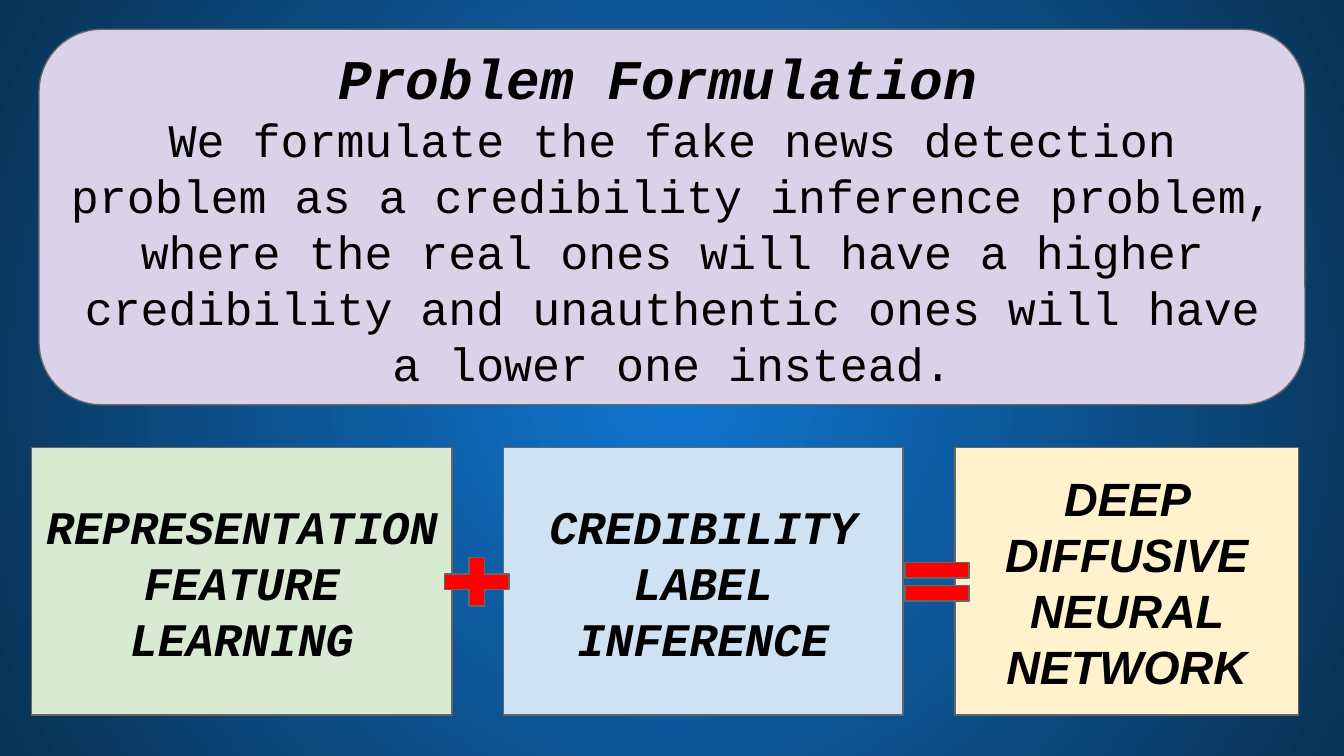
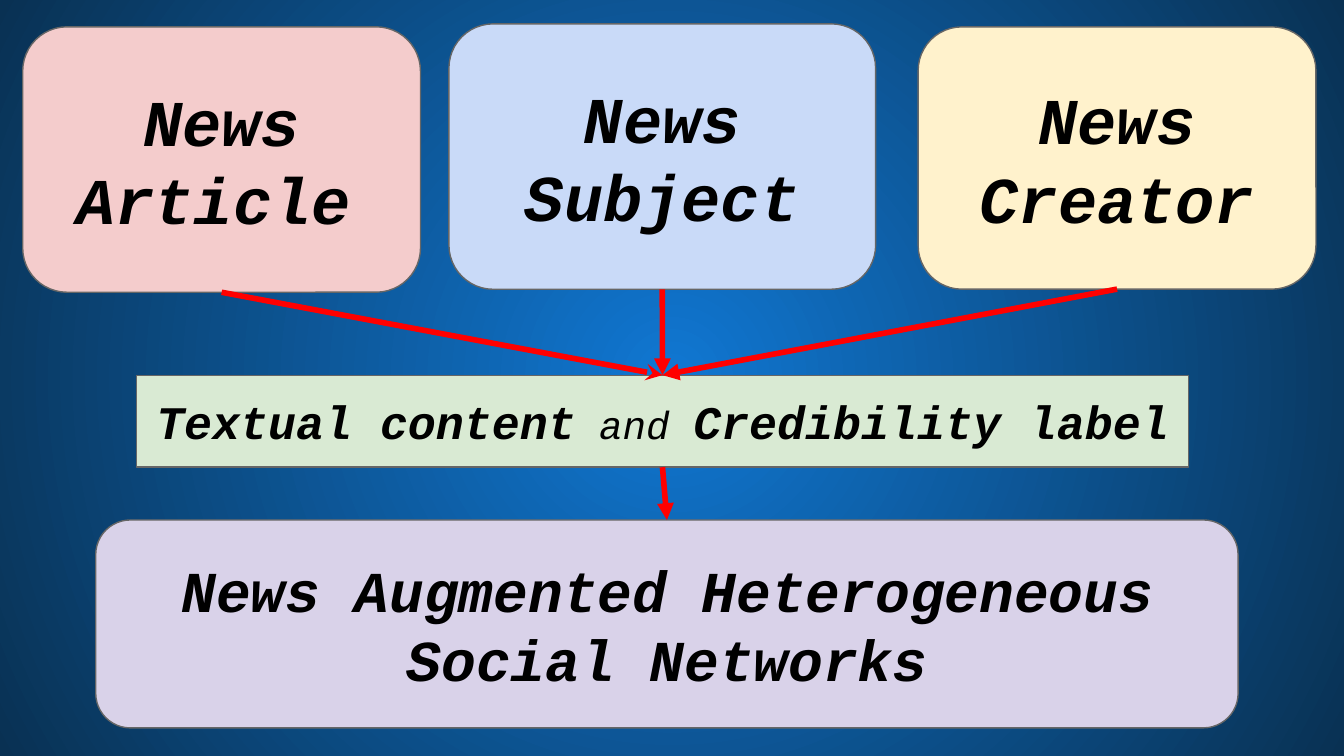
from lxml import etree
from pptx import Presentation
from pptx.dml.color import RGBColor
from pptx.enum.shapes import MSO_CONNECTOR, MSO_SHAPE as SHAPE
from pptx.enum.text import MSO_ANCHOR, PP_ALIGN
from pptx.oxml.ns import qn
from pptx.util import Pt

# Shared style
MONO, SANS = "Courier New", "Arial"
GLOW, NAVY = "1077D2", "093153"
LILAC, GREEN, SKY, CREAM = "D9D2E9", "D9EAD3", "CFE2F3", "FFF2CC"
PINK, PERIWINKLE = "F4CCCC", "C9DAF8"
RED, GREY, BLACK = "FF0000", "666666", "000000"
TOP, BOTTOM = 0, 2


def rgb(value):
    return RGBColor.from_string(value)


def add_slide(prs):
    """Blank slide with the radial blue background."""
    s = prs.slides.add_slide(prs.slide_layouts[6])
    fill = s.background.fill
    fill.gradient()
    for stop, color in zip(fill.gradient_stops, (GLOW, NAVY)):
        stop.color.rgb = rgb(color)
    grad = s.element.find(".//" + qn("a:gradFill"))
    grad.remove(grad.find(qn("a:lin")))
    circle = etree.SubElement(grad, qn("a:path"), path="circle")
    etree.SubElement(circle, qn("a:fillToRect"),
                     l="50000", t="50000", r="50000", b="50000")
    return s


def add_figure(s, kind, box, color):
    sp = s.shapes.add_shape(kind, *map(Pt, box))
    sp.shadow.inherit = False
    sp.fill.solid()
    sp.fill.fore_color.rgb = rgb(color)
    sp.line.color.rgb = rgb(GREY)
    sp.line.width = Pt(0.75)
    return sp


def strong(text, size, font=MONO):
    return text, size, True, True, font


def plain(text, size, italic=False):
    return text, size, False, italic, MONO


def add_card(s, kind, box, color, *paragraphs):
    """Filled shape with centred text; each paragraph is a list of runs."""
    sp = add_figure(s, kind, box, color)
    tf = sp.text_frame
    tf.word_wrap = True
    tf.vertical_anchor = MSO_ANCHOR.MIDDLE
    tf.margin_left = tf.margin_right = Pt(7.2)
    tf.margin_top = tf.margin_bottom = Pt(7.2)
    for i, runs in enumerate(paragraphs):
        p = tf.add_paragraph() if i else tf.paragraphs[0]
        p.alignment = PP_ALIGN.CENTER
        for text, size, bold, italic, font in runs:
            r = p.add_run()
            r.text = text
            r.font.size = Pt(size)
            r.font.bold, r.font.italic = bold, italic
            r.font.name = font
            r.font.color.rgb = rgb(BLACK)
    return sp


def add_arrow(s, source, target, head="triangle"):
    """Red arrow from the bottom of one card to the top of another."""
    line = s.shapes.add_connector(MSO_CONNECTOR.STRAIGHT, 0, 0, 0, 0)
    line.begin_connect(source, BOTTOM)
    line.end_connect(target, TOP)
    line.line.color.rgb = rgb(RED)
    line.line.width = Pt(3)
    etree.SubElement(line.line._get_or_add_ln(), qn("a:tailEnd"), type=head)
    etree.SubElement(line._element.spPr, qn("a:effectLst"))


def problem_slide(prs):
    s = add_slide(prs)
    # Problem statement
    add_card(s, SHAPE.ROUNDED_RECTANGLE, (20.9, 15.7, 678.2, 201.2), LILAC,
             [strong("Problem Formulation", 30), plain(" ", 25)],
             [plain("We formulate the fake news detection problem as a "
                    "credibility inference problem, where the real ones will "
                    "have a higher credibility and unauthentic ones will have "
                    "a lower one instead.", 25)])
    # Equation: two parts give the network
    for left, width, color, text, font in (
            (16.9, 225.3, GREEN, "REPRESENTATION FEATURE LEARNING", MONO),
            (269.6, 214.2, SKY, "CREDIBILITY LABEL INFERENCE", MONO),
            (511.5, 184.1, CREAM, "DEEP DIFFUSIVE NEURAL NETWORK", SANS)):
        add_card(s, SHAPE.RECTANGLE, (left, 239.8, width, 143.3), color,
                 [strong(text, 25, font)])
    for left, sign in ((232, SHAPE.MATH_PLUS), (478.6, SHAPE.MATH_EQUAL)):
        add_figure(s, sign, (left, 294, 46.8, 35.3), RED)


def network_slide(prs):
    s = add_slide(prs)
    # News entities
    article, subject, creator = [
        add_card(s, SHAPE.ROUNDED_RECTANGLE, box, color, runs)
        for box, color, runs in (
            ((12.2, 14.4, 213.1, 142.2), PINK,
             [strong("News Article", 35), plain(" ", 14)]),
            ((240.5, 12.8, 228.6, 142.2), PERIWINKLE,
             [strong("News Subject", 35)]),
            ((491.9, 14.4, 213.1, 140.5), CREAM,
             [strong("News Creator", 35)]))]
    # What they share, and the resulting network
    content = add_card(s, SHAPE.RECTANGLE, (73.2, 201, 563.4, 49.3), GREEN,
                       [strong("Textual content", 25),
                        plain(" and ", 21, italic=True),
                        strong("Credibility label", 25)])
    network = add_card(
        s, SHAPE.ROUNDED_RECTANGLE, (51.3, 278.6, 612, 111.4), LILAC,
        [strong("News Augmented Heterogeneous Social Networks", 31)])
    # Flow
    add_arrow(s, article, content, "stealth")
    add_arrow(s, subject, content)
    add_arrow(s, creator, content)
    add_arrow(s, content, network)


def main():
    prs = Presentation()
    prs.slide_width, prs.slide_height = Pt(720), Pt(405)
    problem_slide(prs)
    network_slide(prs)
    prs.save("out.pptx")


if __name__ == "__main__":
    main()
